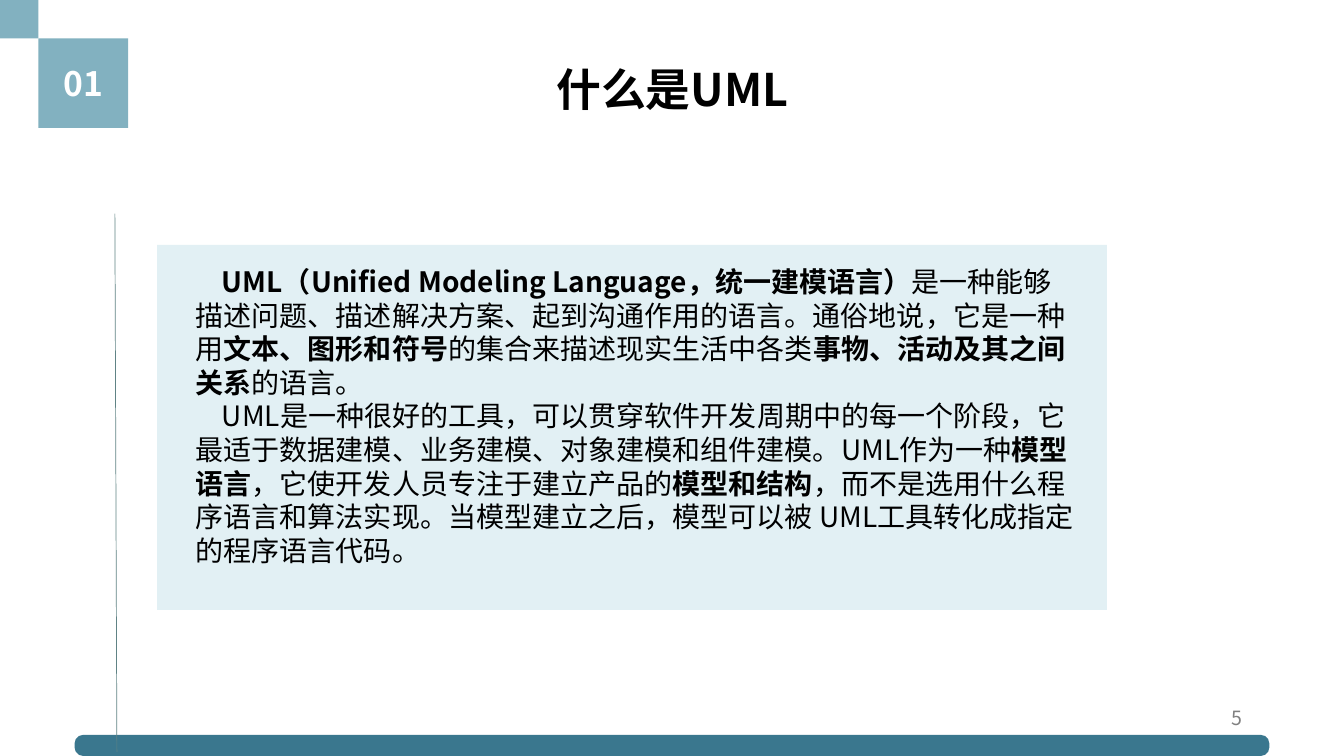
from dataclasses import dataclass

from lxml.etree import SubElement
from pptx import Presentation
from pptx.dml.color import RGBColor
from pptx.enum.shapes import MSO_CONNECTOR, MSO_SHAPE
from pptx.enum.text import MSO_ANCHOR, PP_ALIGN
from pptx.oxml.ns import qn
from pptx.util import Inches, Pt

SLIDE_WIDTH, SLIDE_HEIGHT = Inches(13.33), Inches(7.5)


@dataclass(frozen=True)
class Theme:
    font: str = "Noto Sans CJK SC"
    tile: str = "82B1C0"
    panel: str = "E2F0F4"
    bar: str = "3A778E"
    rail: str = "608385"
    ink: str = "000000"
    light: str = "FFFFFF"
    muted: str = "808080"
    title_size: int = 32
    badge_size: int = 24
    body_size: int = 20
    page_size: int = 14


THEME = Theme()


@dataclass(frozen=True)
class Box:
    """An area in percent of the slide's width and height."""
    left: float
    top: float
    width: float
    height: float

    def inner(self, left, top, width, height):
        """Area given as shares of this box."""
        return Box(self.left + left * self.width, self.top + top * self.height,
                   width * self.width, height * self.height)

    def emu(self):
        return (round(self.left * SLIDE_WIDTH / 100), round(self.top * SLIDE_HEIGHT / 100),
                round(self.width * SLIDE_WIDTH / 100), round(self.height * SLIDE_HEIGHT / 100))


DEFINITION = [
    [("UML（Unified Modeling Language，统一建模语言）", True),
     ("是一种能够描述问题、描述解决方案、起到沟通作用的语言。通俗地说，它是一种用", False),
     ("文本、图形和符号", True),
     ("的集合来描述现实生活中各类", False),
     ("事物、活动及其之间关系", True),
     ("的语言。", False)],
    [("UML是一种很好的工具，可以贯穿软件开发周期中的每一个阶段，"
      "它最适于数据建模、业务建模、对象建模和组件建模。UML作为一种", False),
     ("模型语言", True),
     ("，它使开发人员专注于建立产品的", False),
     ("模型和结构", True),
     ("，而不是选用什么程序语言和算法实现。"
      "当模型建立之后，模型可以被 UML工具转化成指定的程序语言代码。", False)],
]


def add_block(slide, box, color, preset=MSO_SHAPE.RECTANGLE):
    block = slide.shapes.add_shape(preset, *box.emu())
    block.shadow.inherit = False
    block.fill.solid()
    block.fill.fore_color.rgb = RGBColor.from_string(color)
    block.line.fill.background()
    return block


def add_text_frame(slide, box):
    frame = slide.shapes.add_textbox(*box.emu()).text_frame
    frame.word_wrap = True
    return frame


def write_runs(paragraph, runs, size, color, align=PP_ALIGN.LEFT):
    paragraph.alignment = align
    for words, bold in runs:
        run = paragraph.add_run()
        run.text = words
        run.font.size = Pt(size)
        run.font.bold = bold
        run.font.color.rgb = RGBColor.from_string(color)
        run.font.name = THEME.font
        SubElement(run._r.get_or_add_rPr(), qn("a:ea"), typeface=THEME.font)


def add_section_badge(slide, box, number):
    """Small corner tile touching a larger numbered tile."""
    add_block(slide, box.inner(0, 0, 0.3, 0.3), THEME.tile)
    badge = add_block(slide, box.inner(0.3, 0.3, 0.7, 0.7), THEME.tile)
    badge.text_frame.vertical_anchor = MSO_ANCHOR.MIDDLE
    write_runs(badge.text_frame.paragraphs[0], [(number, True)],
               THEME.badge_size, THEME.light, PP_ALIGN.CENTER)


def add_title(slide, box, title):
    write_runs(add_text_frame(slide, box).paragraphs[0], [(title, True)],
               THEME.title_size, THEME.ink, PP_ALIGN.CENTER)


def add_footer_bar(slide, box):
    bar = add_block(slide, box, THEME.bar, MSO_SHAPE.ROUNDED_RECTANGLE)
    bar.adjustments[0] = 0.41


def add_side_rail(slide, box):
    left, top, width, height = box.emu()
    rail = slide.shapes.add_connector(MSO_CONNECTOR.STRAIGHT,
                                      left + width, top + height, left, top)
    rail.line.color.rgb = RGBColor.from_string(THEME.rail)
    rail.line.width = Pt(0.5)
    SubElement(rail._element.spPr, qn("a:effectLst"))


def add_definition_panel(slide, box, paragraphs):
    add_block(slide, box, THEME.panel)
    frame = add_text_frame(slide, box.inner(0.03, 0.04, 0.95, 0.96))
    for index, runs in enumerate(paragraphs):
        paragraph = frame.add_paragraph() if index else frame.paragraphs[0]
        paragraph._p.get_or_add_pPr().set("indent", str(Inches(0.26)))
        write_runs(paragraph, runs, THEME.body_size, THEME.ink)


def add_page_number(slide, box, number):
    write_runs(add_text_frame(slide, box).paragraphs[0], [(number, False)],
               THEME.page_size, THEME.muted, PP_ALIGN.RIGHT)


def build_definition_slide(deck):
    slide = deck.slides.add_slide(deck.slide_layouts[6])
    add_definition_panel(slide, Box(11.7, 32.4, 70.67, 48.27), DEFINITION)
    add_section_badge(slide, Box(0, 0, 9.53, 16.93), "01")
    add_title(slide, Box(13.13, 7.47, 73.82, 8.53), "什么是UML")
    add_footer_bar(slide, Box(5.55, 97.2, 88.9, 2.8))
    add_side_rail(slide, Box(8.55, 28.27, 0.15, 71.2))
    add_page_number(slide, Box(70.67, 92.67, 22.5, 5.33), "5")


def main():
    deck = Presentation()
    deck.slide_width, deck.slide_height = SLIDE_WIDTH, SLIDE_HEIGHT
    build_definition_slide(deck)
    deck.save("out.pptx")


if __name__ == "__main__":
    main()
